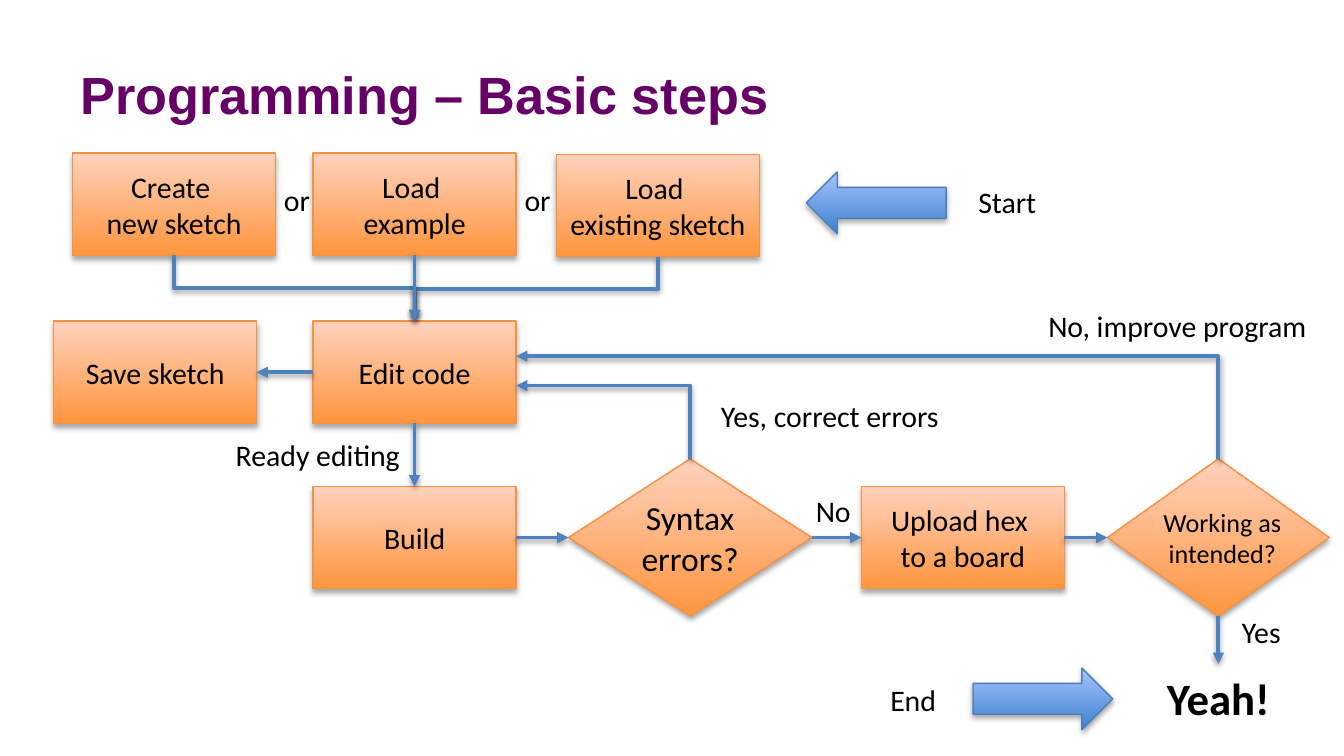
from dataclasses import dataclass

from lxml.etree import SubElement
from pptx import Presentation
from pptx.dml.color import RGBColor
from pptx.enum.shapes import MSO_CONNECTOR as Link, MSO_SHAPE as Shape
from pptx.enum.text import MSO_ANCHOR as Anchor, PP_ALIGN as Align
from pptx.oxml.ns import qn
from pptx.util import Inches, Pt


@dataclass(frozen=True)
class Theme:
    title_font: str = "Arial"
    body_font: str = "Calibri"
    title_color: str = "660066"
    text_color: str = "000000"
    # Bottom colour, top colour, outline
    step: tuple = ("FF953E", "FFD2BD", "F69240")
    arrow: tuple = ("3F80CE", "A4C4FF", "4B7EBC")
    link: str = "4F81BD"
    title_size: int = 28
    final_size: int = 24
    question_size: int = 18
    body_size: int = 16
    small_size: int = 14


THEME = Theme()

# Flowchart grid, in inches: left edges of columns, top edges of rows
COLUMNS = {"save": 0.4, "new": 0.54, "main": 2.33, "existing": 4.14, "upload": 6.41}
ROWS = {"sources": 1.14, "edit": 2.39, "build": 3.62}
BOX_WIDTH, BOX_HEIGHT = 1.51, 0.76
DIAMOND_HEIGHT = 1.17
DIAMOND_TOP = ROWS["build"] + (BOX_HEIGHT - DIAMOND_HEIGHT) / 2
LABEL_HEIGHT = 0.37
TOP, LEFT, BOTTOM, RIGHT = range(4)  # connection sites


def color(value):
    return RGBColor.from_string(value)


def write(frame, text, size=THEME.body_size, font=THEME.body_font,
          ink=THEME.text_color, bold=False, align=Align.CENTER,
          anchor=Anchor.TOP, inset=None):
    """Fill a text frame; a newline becomes a line break."""
    frame.word_wrap = True
    frame.vertical_anchor = anchor
    if inset is not None:
        frame.margin_left = frame.margin_right = Inches(inset)
        frame.margin_top = frame.margin_bottom = Inches(inset)
    para = frame.paragraphs[0]
    para.text = text.replace("\n", "\v")
    para.alignment = align
    for span in para.runs:
        span.font.name, span.font.size = font, Pt(size)
        span.font.bold, span.font.color.rgb = bold, color(ink)


def add_shadow(item, opacity, distance):
    """Give a shape or connector a soft shadow below it."""
    effects = SubElement(item._element.spPr, qn("a:effectLst"))
    shadow = SubElement(effects, qn("a:outerShdw"), blurRad=str(Pt(3.1)),
                        dist=str(Pt(distance)), dir="5400000", rotWithShape="0")
    ink = SubElement(shadow, qn("a:srgbClr"), val="000000")
    SubElement(ink, qn("a:alpha"), val=str(opacity * 1000))


def add_block(page, kind, left, top, width, height, palette=THEME.step):
    """Add a preset shape with a vertical gradient and a shadow."""
    block = page.shapes.add_shape(kind, *map(Inches, (left, top, width, height)))
    bottom, upper, outline = palette
    block.fill.gradient()
    block.fill.gradient_angle = 90
    for stop, position, value in zip(block.fill.gradient_stops, (0, 1), (bottom, upper)):
        stop.position, stop.color.rgb = position, color(value)
    block.line.color.rgb, block.line.width = color(outline), Pt(0.75)
    add_shadow(block, opacity=35, distance=1.8)
    return block


def add_step(page, text, column, row, drop=0):
    box = add_block(page, Shape.RECTANGLE, COLUMNS[column], ROWS[row] + drop,
                    BOX_WIDTH, BOX_HEIGHT)
    write(box.text_frame, text, anchor=Anchor.MIDDLE)
    return box


def add_decision(page, left, width):
    return add_block(page, Shape.DIAMOND, left, DIAMOND_TOP, width, DIAMOND_HEIGHT)


def add_wide_question(page, text, left, width):
    """Add a clear diamond that gives a question more room than its block."""
    area = page.shapes.add_shape(
        Shape.DIAMOND, *map(Inches, (left, DIAMOND_TOP, width, DIAMOND_HEIGHT)))
    area.shadow.inherit = False
    area.fill.background()
    area.line.fill.background()
    write(area.text_frame, text, size=THEME.small_size, anchor=Anchor.MIDDLE, inset=0)


def add_label(page, text, left, top, width, height=LABEL_HEIGHT, **style):
    box = page.shapes.add_textbox(*map(Inches, (left, top, width, height)))
    write(box.text_frame, text, **style)


def style_link(link):
    """Set line, arrowhead and shadow of a connector."""
    link.line.color.rgb, link.line.width = color(THEME.link), Pt(2)
    SubElement(link.line._get_or_add_ln(), qn("a:tailEnd"), type="triangle")
    add_shadow(link, opacity=38, distance=1.6)


def add_straight(page, start, start_site, end, end_site):
    link = page.shapes.add_connector(Link.STRAIGHT, 0, 0, 0, 0)
    link.begin_connect(start, start_site)
    link.end_connect(end, end_site)
    style_link(link)


def add_elbow(page, start, end, preset):
    """Add a bent arrow that leaves its start point vertically."""
    (x1, y1), (x2, y2) = start, end
    down = y2 > y1
    # The frame is stored before its quarter turn, so its sides are swapped.
    width, height = abs(y2 - y1), abs(x2 - x1)
    left, top = (x1 + x2 - width) // 2, (y1 + y2 - height) // 2
    link = page.shapes.add_connector(Link.ELBOW, left, top, left + width, top + height)
    frame = link._element.spPr.find(qn("a:xfrm"))
    frame.set("rot", "5400000" if down else "16200000")
    if (x2 > x1) == down:
        frame.set("flipV", "1")
    link._element.spPr.find(qn("a:prstGeom")).set("prst", preset)
    style_link(link)


def middle_top(block):
    return block.left + block.width // 2, block.top


def middle_bottom(block):
    return block.left + block.width // 2, block.top + block.height


def add_title(page, text):
    title = page.shapes.title
    title.left, title.top, title.width, title.height = map(Inches, (0.5, 0.23, 9, 0.94))
    write(title.text_frame, text, size=THEME.title_size, font=THEME.title_font,
          ink=THEME.title_color, bold=True, align=Align.LEFT, anchor=Anchor.MIDDLE)


def main():
    deck = Presentation()
    deck.slide_width = Inches(10)
    deck.slide_height = deck.slide_width * 9 // 16
    page = deck.slides.add_slide(deck.slide_layouts[5])
    add_title(page, "Programming – Basic steps")

    # Steps and decisions
    new = add_step(page, "Create \nnew sketch", "new", "sources")
    example = add_step(page, "Load \nexample", "main", "sources")
    existing = add_step(page, "Load \nexisting sketch", "existing", "sources", drop=0.01)
    edit = add_step(page, "Edit code", "main", "edit")
    build = add_step(page, "Build", "main", "build")
    upload = add_step(page, "Upload hex \nto a board", "upload", "build")
    syntax = add_decision(page, 4.23, 1.81)
    write(syntax.text_frame, "Syntax errors?", size=THEME.question_size,
          anchor=Anchor.MIDDLE, inset=0)
    save = add_step(page, "Save sketch", "save", "edit")
    working = add_decision(page, 8.24, 1.65)
    add_wide_question(page, "Working as intended?", 8.11, 1.97)

    # Three ways in to the editor
    for source in (new, existing):
        add_elbow(page, middle_bottom(source), middle_top(edit), "bentConnector3")

    # Straight flow
    for start, start_site, end, end_site in (
        (example, BOTTOM, edit, TOP),
        (edit, LEFT, save, RIGHT),
        (edit, BOTTOM, build, TOP),
        (build, RIGHT, syntax, LEFT),
        (syntax, RIGHT, upload, LEFT),
        (upload, RIGHT, working, LEFT),
    ):
        add_straight(page, start, start_site, end, end_site)
    x, y = middle_bottom(working)
    style_link(page.shapes.add_connector(Link.STRAIGHT, x, y, x, Inches(4.94)))

    # Loops back to the editor
    for decision, height in ((syntax, 2.87), (working, 2.65)):
        add_elbow(page, middle_top(decision), (edit.left + edit.width, Inches(height)),
                  "bentConnector2")

    # Start and end arrows
    add_block(page, Shape.LEFT_ARROW, 6, 1.28, 1.04, 0.46, THEME.arrow)
    end_arrow = add_block(page, Shape.LEFT_ARROW, 7.24, 4.97, 1.04, 0.46, THEME.arrow)
    end_arrow._element.spPr.find(qn("a:xfrm")).set("flipH", "1")

    # Labels
    for text, left, top, width in (
        ("or", 1.93, 1.3, 0.56),
        ("or", 3.72, 1.3, 0.56),
        ("Start", 7.06, 1.32, 0.87),
        ("No, improve program", 7.67, 2.24, 2.18),
        ("Yes, correct errors", 5.17, 2.91, 2.01),
        ("Ready editing", 1.61, 3.2, 1.51),
        ("No", 5.92, 3.62, 0.56),
        ("Yes", 9.05, 4.52, 0.67),
        ("End", 6.36, 5.02, 0.87),
    ):
        add_label(page, text, left, top, width)
    add_label(page, "Yeah!", 8.47, 4.94, 1.19, 0.5, size=THEME.final_size, bold=True)

    deck.save("out.pptx")


if __name__ == "__main__":
    main()
